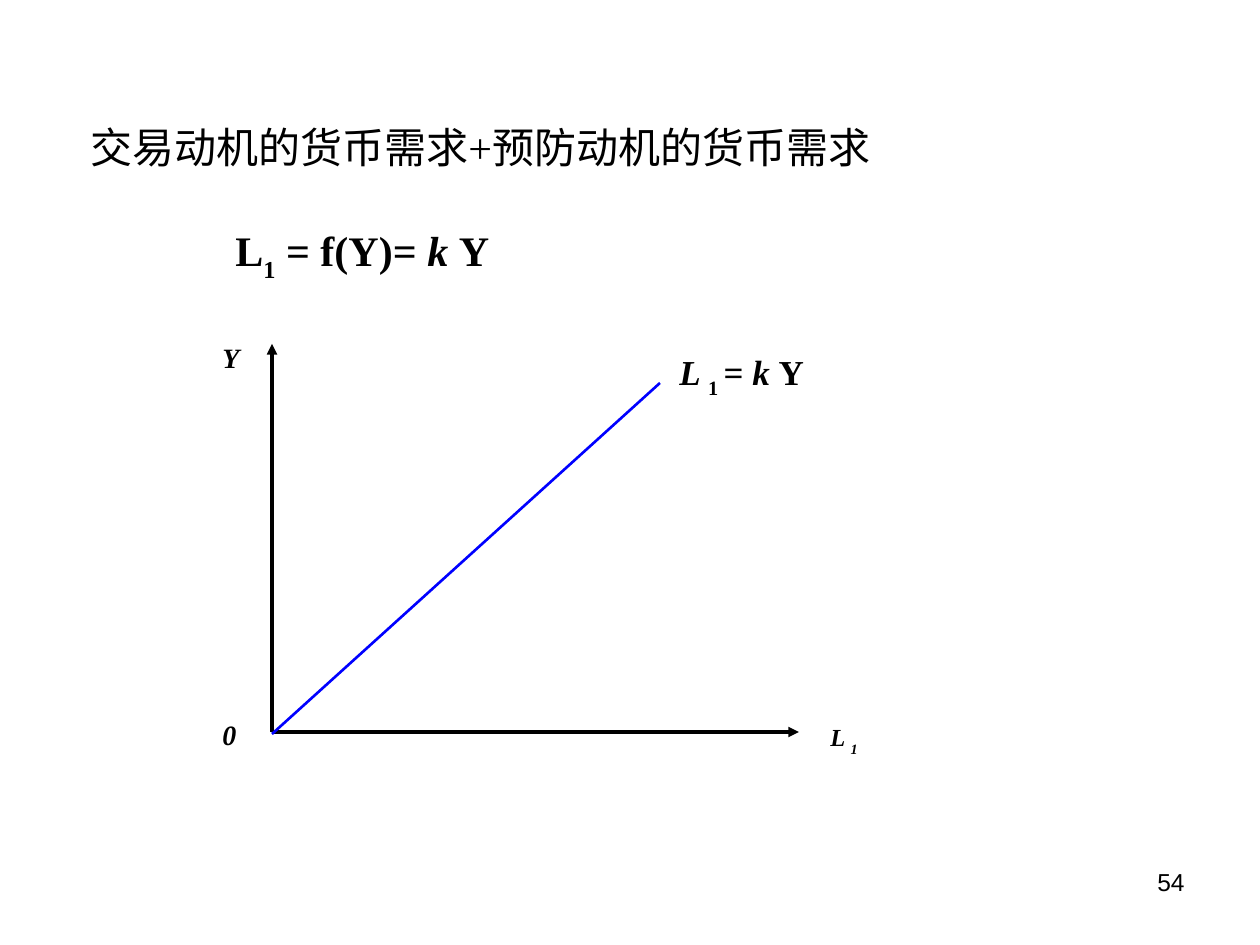
import pptx
import pptx.util
import pptx.dml.color
import pptx.enum.shapes
import pptx.enum.text
from lxml import etree
from pptx.oxml.ns import qn

PX = 914400 / 126
SERIF = "Times New Roman"
BOLD, ITALIC, SUB = "b", "i", "s"


def px(n):
    return pptx.util.Emu(round(n * PX))


def color(hex_code):
    return pptx.dml.color.RGBColor.from_string(hex_code)


def add_text(s, box, runs, size, font=SERIF, align=pptx.enum.text.PP_ALIGN.LEFT):
    """Place one line of (text, style flags) runs in a box of left, top, width, height."""
    sp = s.shapes.add_textbox(*map(px, box))
    tf = sp.text_frame
    tf.word_wrap = True
    p = tf.paragraphs[0]
    p.alignment = align
    for text, style in runs:
        r = p.add_run()
        r.text = text
        r.font.size = pptx.util.Pt(size)
        r.font.name = font
        r.font.bold = BOLD in style
        r.font.italic = ITALIC in style
        r.font.color.rgb = color("000000")
        if SUB in style:
            r.font._element.set("baseline", "-30000")


def add_line(s, start, end, hex_code, width, arrow=False):
    line = s.shapes.add_connector(
        pptx.enum.shapes.MSO_CONNECTOR.STRAIGHT, *map(px, start + end))
    line.line.color.rgb = color(hex_code)
    line.line.width = pptx.util.Pt(width)
    if arrow:
        etree.SubElement(line.line._get_or_add_ln(), qn("a:tailEnd"), type="triangle")
    etree.SubElement(line._element.spPr, qn("a:effectLst"))


def add_heading(s, x, y):
    add_text(s, (x, y, 900, 76), [("交易动机的货币需求+预防动机的货币需求", "")], 24)
    add_text(s, (x + 145, y + 103, 397, 72),
             [("L", "b"), ("1", "bs"), (" = f(Y)= ", "b"), ("k ", "bi"), ("Y", "b")], 24)


def add_money_demand_graph(s, x, y, w, h):
    """Draw the axes, with their corner at the lower left of the box, and the L1 line."""
    base = y + h
    add_line(s, (x, base), (x, y), "000000", 2, arrow=True)
    add_line(s, (x, base), (x + w, base), "000000", 2, arrow=True)
    add_line(s, (x, base + 2), (x + 388, y + 39), "0000FF", 1.5)
    add_text(s, (x + 395, y, 200, 63),
             [("L ", "bi"), ("1 ", "bs"), ("= ", "b"), ("k ", "bi"), ("Y", "b")], 20)
    add_text(s, (x + w + 19, base - 16, 80, 56), [("L ", "bi"), ("1", "bis")], 14)
    for label, top in (("Y", y - 10), ("0", base - 21)):
        add_text(s, (x - 62, top, 60, 47), [(label, "bi")], 16)


def main():
    prs = pptx.Presentation()
    prs.slide_width, prs.slide_height = px(1260), px(945)
    s = prs.slides.add_slide(prs.slide_layouts[6])
    add_heading(s, 78, 115)
    add_money_demand_graph(s, 272, 344, 527, 388)
    add_text(s, (903, 861, 294, 66), [("54", "")], 14, "Arial",
             pptx.enum.text.PP_ALIGN.RIGHT)
    prs.save("out.pptx")


if __name__ == "__main__":
    main()
